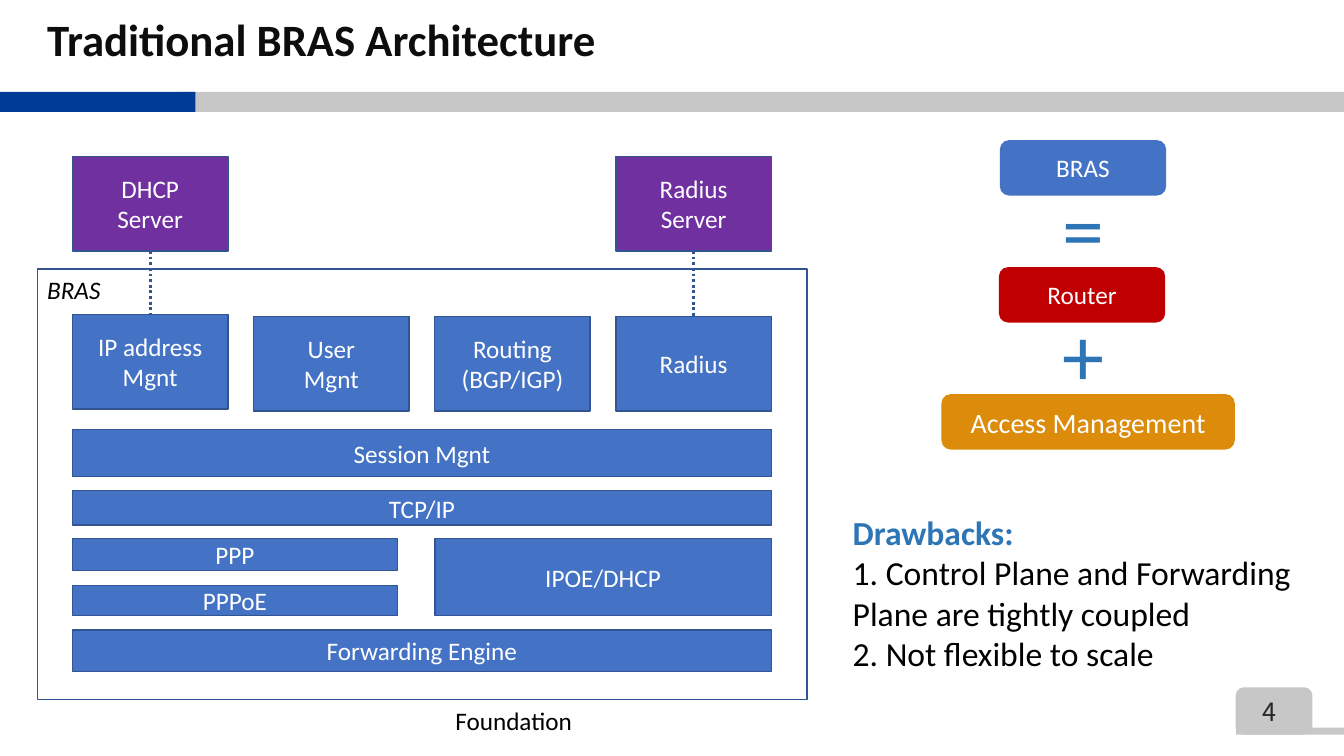
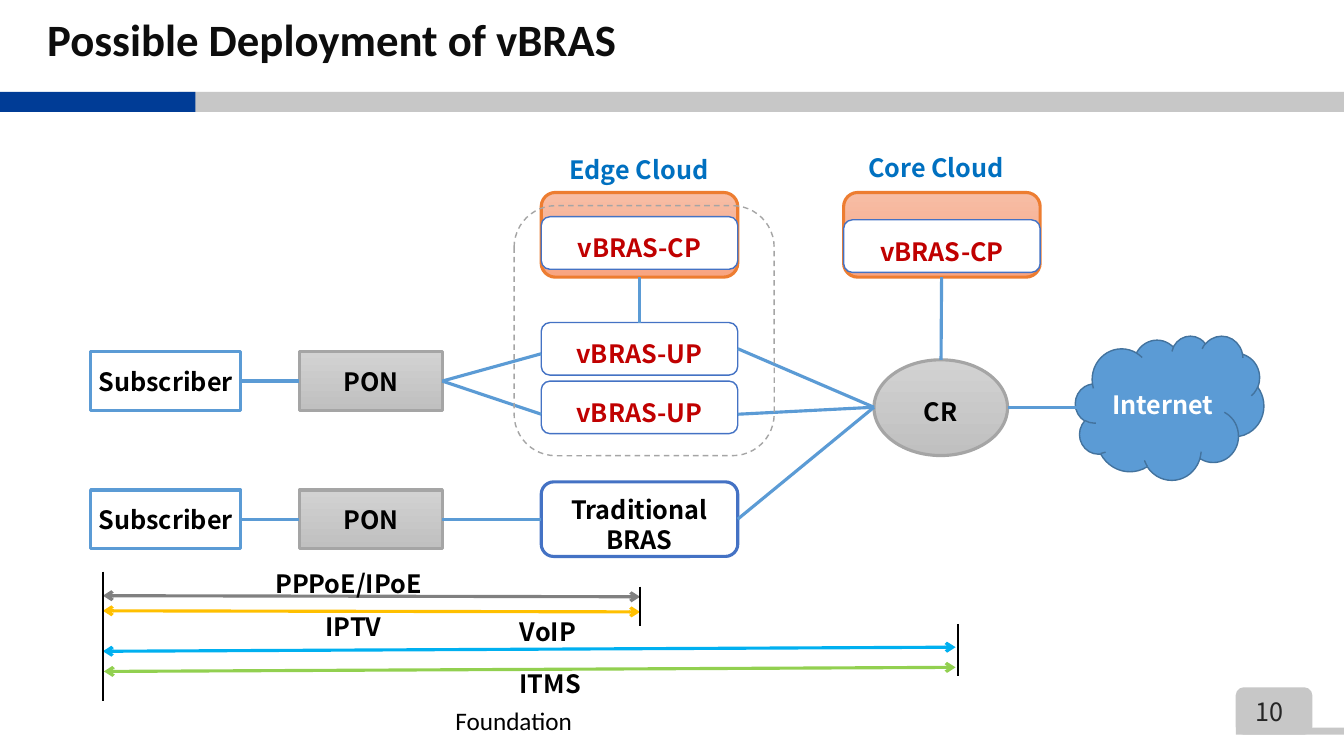
"""Build two slides on traditional BRAS architecture and vBRAS deployment."""
import pptx
import pptx.dml.color
import pptx.enum.dml
import pptx.enum.shapes
import pptx.enum.text
import pptx.oxml
import pptx.util

Pt = pptx.util.Pt
SHAPE = pptx.enum.shapes.MSO_SHAPE
ALIGN = pptx.enum.text.PP_ALIGN
ANCHOR = pptx.enum.text.MSO_ANCHOR
DASH = pptx.enum.dml.MSO_LINE
RECT, ROUND = SHAPE.RECTANGLE, SHAPE.ROUNDED_RECTANGLE

LATIN, SANS = "Calibri", "Noto Sans CJK SC"
BLACK, WHITE, GRAY, NAVY = "000000", "FFFFFF", "C7C7C7", "003C96"
BLUE, EDGE, PURPLE, HEADING = "4472C4", "325491", "7030A0", "2E75B6"
RED, AMBER, SKY, CLOUD_TITLE = "C00000", "DC8C0A", "5B9BD5", "0070C0"
GRAY_BLEND, ORANGE_BLEND = ("D2D2D2", "C0C0C0"), ("F7BDA5", "F8A582")

COLUMN_LEFT, COLUMN_STEP, COLUMN_WIDTH, MODULE_HEIGHT = 51.8, 129.4, 111, 67.7
FULL_WIDTH = 3 * COLUMN_STEP + COLUMN_WIDTH
SERVER_TOP = 111.6
SERVERS = [(0, "DHCP\nServer", 224.6), (3, "Radius Server", 226)]
MODULES = [("IP address\nMgnt", 224.6), ("User\nMgnt", 226),
           ("Routing\n(BGP/IGP)", 226), ("Radius", 226)]
LAYERS = [
    ("Session Mgnt", 0, 306.7, FULL_WIDTH, 33.8),
    ("TCP/IP", 0, 350.6, FULL_WIDTH, 24.5),
    ("PPP", 0, 384.5, 232, 23),
    ("PPPoE", 0, 418.3, 232, 21.6),
    ("IPOE/DHCP", 2, 384.5, FULL_WIDTH - 2 * COLUMN_STEP, 55.4),
    ("Forwarding Engine", 0, 450, FULL_WIDTH, 29.5),
]
EQUATION_TOP, EQUATION_STEP = 100.1, 90.7
EQUATION = [("BRAS", 714.2, 118.8, BLUE, 18), ("Router", 713.5, 118.8, RED, 18),
            ("Access Management", 672.5, 209.5, AMBER, 20)]
OPERATORS = [("=", 122.4), ("+", 212.4)]
DRAWBACKS = ("Drawbacks:\n1. Control Plane and Forwarding Plane are tightly coupled\n"
             "2. Not flexible to scale")

ACCESS_ROWS = [251.3, 350]
CLOUDS = [("Edge Cloud", 386.6, 456.4, 106.6, 154.8), ("Core Cloud", 602.6, 668.6, 105.6, 157)]
BRAS_LEFT, BRAS_WIDTH, BRAS_HEIGHT = 386.6, 140.4, 37.6
USER_PLANE_TOPS = [230.4, 272.2]
LINKS = [
    (172, 272.2, 213.8, 272.2), (172, 370.8, 213.8, 370.8),
    (316, 272.2, 386.6, 252.7), (316, 272.2, 386.6, 295.9),
    (316, 370.8, 386.6, 370.8), (456.8, 198, 456.8, 230.4),
    (672.6, 198, 672.2, 257), (527, 249.1, 624.3, 290.9),
    (527, 295.9, 624.3, 290.9), (527, 370.8, 624.3, 290.9),
    (720, 290.9, 769, 290.9),
]
SPANS = [
    ("PPPoE/IPoE", 249, 402.5, "808080", (73.5, 425.5, 457.2, 426.3)),
    ("IPTV", 252.5, 433.4, "FFC000", (73.5, 436.3, 457.2, 437.1)),
    ("VoIP", 391.4, 437, "00B0F0", (73.5, 465.2, 682.6, 462.3)),
    ("ITMS", 393, 473.8, "92D050", (74.2, 479.6, 682.6, 476.7)),
]
LIMITS = [(73.5, 408.3, 500.4), (457.2, 419, 447.1), (684, 445.7, 483.1)]


def rgb(value):
    """Turn a hex string into a colour."""
    return pptx.dml.color.RGBColor.from_string(value)


def write(shape, text, size=18, color=BLACK, font=LATIN, bold=False, italic=False,
          align=ALIGN.CENTER, anchor=ANCHOR.MIDDLE):
    """Put one paragraph per line of text into a shape."""
    frame = shape.text_frame
    frame.word_wrap = True
    frame.vertical_anchor = anchor
    frame.text = text
    for paragraph in frame.paragraphs:
        paragraph.alignment = align
        paragraph.font.size = Pt(size)
        paragraph.font.name = font
        paragraph.font.bold = bold
        paragraph.font.italic = italic
        paragraph.font.color.rgb = rgb(color)
    return frame


def add_box(slide, kind, left, top, width, height, fill=None, line=None, weight=1, dash=None):
    """Add a preset shape with a plain, blended or empty fill."""
    shape = slide.shapes.add_shape(kind, Pt(left), Pt(top), Pt(width), Pt(height))
    shape.shadow.inherit = False
    if fill is None:
        shape.fill.background()
    elif isinstance(fill, tuple):
        shape.fill.gradient()
        shape.fill.gradient_angle = 270
        for stop, color in zip(shape.fill.gradient_stops, fill):
            stop.color.rgb = rgb(color)
    else:
        shape.fill.solid()
        shape.fill.fore_color.rgb = rgb(fill)
    if line is None:
        shape.line.fill.background()
    else:
        shape.line.color.rgb = rgb(line)
        shape.line.width = Pt(weight)
        if dash:
            shape.line.dash_style = dash
    return shape


def add_text(slide, left, top, width, height, text, **style):
    """Add a text box anchored at the top."""
    shape = slide.shapes.add_textbox(Pt(left), Pt(top), Pt(width), Pt(height))
    return write(shape, text, anchor=ANCHOR.TOP, **style)


def add_label(slide, center, top, text, color=BLACK):
    """Add a bold label centred on a point."""
    add_text(slide, center - 75, top, 150, 28.8, text, color=color, font=SANS, bold=True)


def add_line(slide, ends, color, weight, dash=None, arrows=False):
    """Add a straight connector, optionally with arrowheads at both ends."""
    connector = slide.shapes.add_connector(
        pptx.enum.shapes.MSO_CONNECTOR.STRAIGHT, *(Pt(value) for value in ends))
    connector.line.color.rgb = rgb(color)
    connector.line.width = Pt(weight)
    if dash:
        connector.line.dash_style = dash
    properties = connector._element.spPr
    if arrows:
        outline = connector.line._get_or_add_ln()
        for tag in ("a:headEnd", "a:tailEnd"):
            end = pptx.oxml.xmlchemy.OxmlElement(tag)
            end.set("type", "arrow")
            outline.append(end)
    properties.append(pptx.oxml.xmlchemy.OxmlElement("a:effectLst"))


def add_slide(presentation, title, number):
    """Add a slide with the title, bands, footer and page number."""
    slide = presentation.slides.add_slide(presentation.slide_layouts[6])
    add_text(slide, 318.2, 500.4, 324, 28.8, "Foundation", align=ALIGN.LEFT)
    add_box(slide, RECT, 127.4, 65.6, 832.6, 14.4, GRAY)
    add_box(slide, RECT, 0, 65.6, 139.7, 14.4, NAVY)
    add_box(slide, ROUND, 882.7, 491, 54.7, 33.8, GRAY)
    add_box(slide, RECT, 882.7, 519.8, 77.3, 5, GRAY)
    add_text(slide, 880.2, 493.9, 52.6, 28.8, number, color="262626", font=SANS)
    frame = add_text(slide, 26.6, 9.4, 816, 51, title, size=32, color="0D0D0D",
                     bold=True, align=ALIGN.LEFT)
    frame.paragraphs[0].line_spacing = 0.9
    return slide


def build_architecture(presentation):
    """Draw the BRAS layers, the equation and the drawbacks."""
    slide = add_slide(presentation, "Traditional BRAS Architecture", "4")
    container = add_box(slide, RECT, 26.6, 192.2, 550, 307.4, line=EDGE)
    write(container, "BRAS", italic=True, align=ALIGN.LEFT, anchor=ANCHOR.TOP)
    blocks = [(text, column, SERVER_TOP, COLUMN_WIDTH, MODULE_HEIGHT, PURPLE)
              for column, text, _ in SERVERS]
    blocks += [(text, column, top, COLUMN_WIDTH, MODULE_HEIGHT, BLUE)
               for column, (text, top) in enumerate(MODULES)]
    blocks += [(*layer, BLUE) for layer in LAYERS]
    for text, column, top, width, height, fill in blocks:
        left = COLUMN_LEFT + column * COLUMN_STEP
        write(add_box(slide, RECT, left, top, width, height, fill, EDGE), text, color=WHITE)
    for column, _, bottom in SERVERS:
        center = COLUMN_LEFT + column * COLUMN_STEP + COLUMN_WIDTH / 2
        add_line(slide, (center, SERVER_TOP + MODULE_HEIGHT, center, bottom),
                 EDGE, 2, DASH.ROUND_DOT)

    for row, (text, left, width, fill, size) in enumerate(EQUATION):
        top = EQUATION_TOP + row * EQUATION_STEP
        write(add_box(slide, ROUND, left, top, width, 39.6, fill), text, size, WHITE)
    for sign, top in OPERATORS:
        add_text(slide, 733.6, top, 80, 80, sign, size=60, color=HEADING)
    frame = add_text(slide, 602, 362.2, 334.8, 123.8, DRAWBACKS, size=24, align=ALIGN.LEFT)
    heading = frame.paragraphs[0].font
    heading.bold = True
    heading.color.rgb = rgb(HEADING)


def add_node(slide, kind, box, text, color=BLACK, drop=0, **look):
    """Add a network node whose bold text sits a little below the middle."""
    frame = write(add_box(slide, kind, *box, **look), text, color=color, font=SANS, bold=True)
    frame.margin_left = frame.margin_right = frame.margin_bottom = 0
    frame.margin_top = Pt(drop)


def build_deployment(presentation):
    """Draw the access network, the clouds and the service spans."""
    slide = add_slide(presentation, "Possible Deployment of vBRAS", "10")
    for top in ACCESS_ROWS:
        add_node(slide, RECT, (64.8, top, 107.2, 41.8), "Subscriber", line=SKY, weight=2.25)
        add_node(slide, RECT, (213.8, top, 102.2, 41.8), "PON",
                 fill=GRAY_BLEND, line="A5A5A5", weight=2.25)
    planes = [("vBRAS-UP", BRAS_LEFT, top) for top in USER_PLANE_TOPS]
    for title, left, center, title_top, plane_top in CLOUDS:
        add_label(slide, center, title_top, title, CLOUD_TITLE)
        add_box(slide, ROUND, left, 137.5, BRAS_WIDTH, 60.5, ORANGE_BLEND, "ED7D31", 2.25)
        planes.append(("vBRAS-CP", left, plane_top))
    for text, left, top in planes:
        add_node(slide, ROUND, (left, top, BRAS_WIDTH, BRAS_HEIGHT), text, RED, 7,
                 fill=WHITE, line=BLUE)
    add_node(slide, ROUND, (BRAS_LEFT, 344.2, BRAS_WIDTH, 53.3), "Traditional\nBRAS",
             drop=8, fill=WHITE, line=BLUE, weight=2.25)
    add_node(slide, SHAPE.OVAL, (624.3, 257, 95.4, 68.4), "CR", drop=5,
             fill=GRAY_BLEND, line="A5A5A5", weight=2.25)
    add_node(slide, SHAPE.CLOUD, (768.2, 239.8, 134.6, 103), "Internet", WHITE,
             fill=SKY, line="43739E")
    for ends in LINKS:
        add_line(slide, ends, SKY, 2.25)
    add_box(slide, ROUND, 367.2, 146.9, 185.8, 178.6, line="A5A5A5", dash=DASH.DASH)

    for text, center, top, color, ends in SPANS:
        add_line(slide, ends, color, 2.25, arrows=True)
        add_label(slide, center, top, text)
    for left, top, bottom in LIMITS:
        add_line(slide, (left, top, left, bottom), BLACK, 1.5)


def main():
    """Build and save the presentation."""
    presentation = pptx.Presentation()
    presentation.slide_width, presentation.slide_height = Pt(960), Pt(540)
    build_architecture(presentation)
    build_deployment(presentation)
    presentation.save("out.pptx")


if __name__ == "__main__":
    main()
